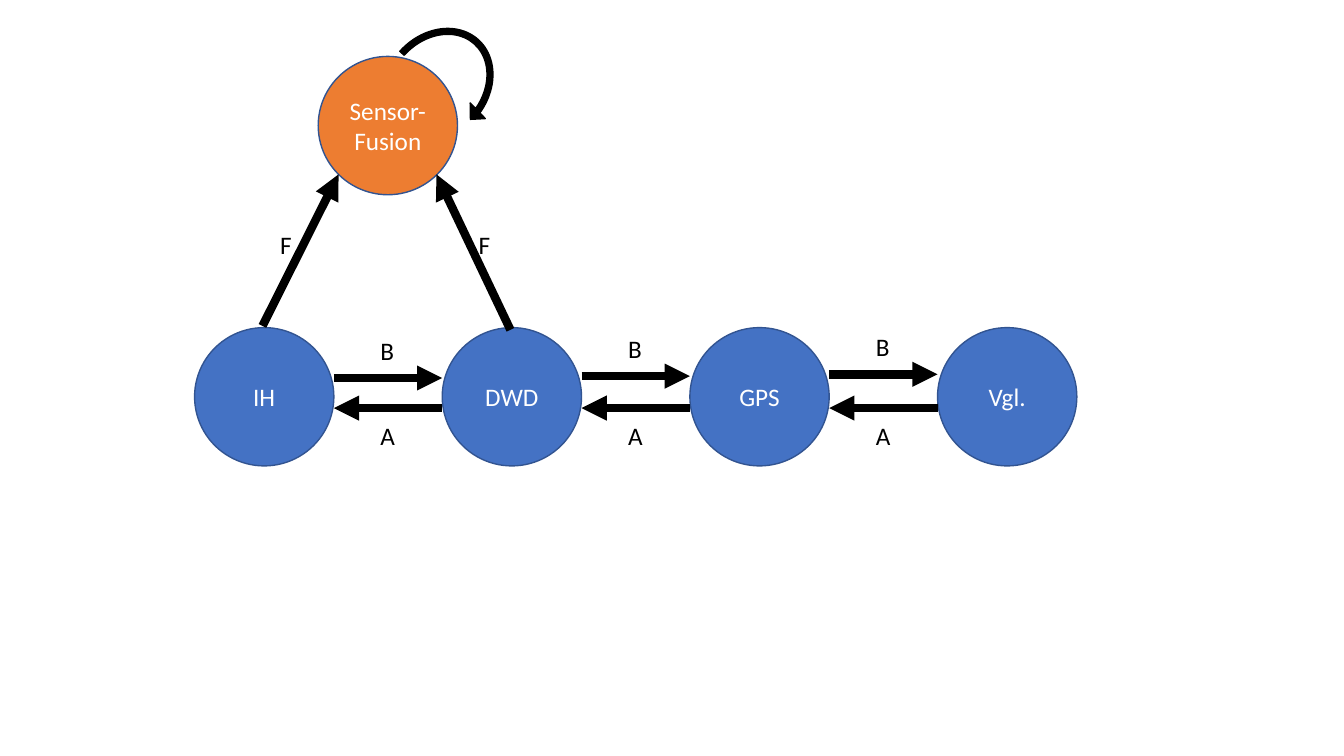
"""Draw a chain of sensor states that feed a fusion node."""
from pptx import Presentation
from pptx.dml.color import RGBColor
from pptx.enum.shapes import MSO_CONNECTOR as Link, MSO_SHAPE as Form
from pptx.enum.text import MSO_ANCHOR as Anchor, MSO_AUTO_SIZE as Fit, PP_ALIGN as Align
from pptx.oxml.ns import qn
from pptx.util import Pt
from lxml.etree import SubElement

COLORS = {"node": "4472C4", "fusion": "ED7D31", "edge": "325491",
          "ink": "000000", "light": "FFFFFF"}


class Board:
    def __init__(self, slide):
        self.slide = slide
        self.font = "Calibri"
        self.size = Pt(18)

    def color(self, name):
        return RGBColor.from_string(COLORS[name])

    def letter(self, frame, text, color, align):
        para = frame.paragraphs[0]
        para.text = text
        para.alignment = align
        para.font.name = self.font
        para.font.size = self.size
        para.font.color.rgb = self.color(color)

    def shape(self, form, x, y, wide, high, fill, edge):
        item = self.slide.shapes.add_shape(form, Pt(x), Pt(y), Pt(wide), Pt(high))
        item.shadow.inherit = False
        item.fill.solid()
        item.fill.fore_color.rgb = self.color(fill)
        item.line.color.rgb = self.color(edge)
        item.line.width = Pt(1)
        return item

    def node(self, text, x, y, fill):
        frame = self.shape(Form.OVAL, x, y, WIDE, HIGH, fill, "edge").text_frame
        frame.word_wrap = True
        frame.vertical_anchor = Anchor.MIDDLE
        self.letter(frame, text, "light", Align.CENTER)

    def arrow(self, x1, y1, x2, y2):
        item = self.slide.shapes.add_connector(
            Link.STRAIGHT, Pt(x1), Pt(y1), Pt(x2), Pt(y2))
        item.line.color.rgb = self.color("ink")
        item.line.width = Pt(6)
        props = item._element.spPr
        SubElement(props.find(qn("a:ln")), qn("a:tailEnd"), type="triangle")
        SubElement(props, qn("a:effectLst"))

    def label(self, text, x, y, wide):
        box = self.slide.shapes.add_textbox(Pt(x), Pt(y), Pt(wide), Pt(29))
        box.text_frame.word_wrap = False
        box.text_frame.auto_size = Fit.SHAPE_TO_FIT_TEXT
        self.letter(box.text_frame, text, "ink", Align.LEFT)

    def loop(self, x, y, wide, high, turn, adjust):
        item = self.shape(Form.CIRCULAR_ARROW, x, y, wide, high, "ink", "ink")
        item.rotation = turn
        for i, value in enumerate(adjust):
            item.adjustments[i] = value


WIDE, HIGH = 99.5, 98.8
LEFT, TOP, STEP = 139, 234, 176.9
STATES = ["IH", "DWD", "GPS", "Vgl."]

deck = Presentation()
deck.slide_width, deck.slide_height = Pt(960), Pt(540)
board = Board(deck.slides.add_slide(deck.slide_layouts[6]))

for i, state in enumerate(STATES):
    board.node(state, LEFT + i * STEP, TOP, "node")

for i in range(len(STATES) - 1):
    start = LEFT + WIDE + i * STEP
    end = LEFT + (i + 1) * STEP
    ahead = 270 - 1.3 * i
    board.arrow(start, ahead, end, ahead)
    board.arrow(end, 291.5, start, 291.5)
    board.label("B", start + 26.2, ahead - 34.2, 24.5)
    board.label("A", start + 26.2, 296.7, 25)

board.node("Sensor-Fusion", 227.3, 40.3, "fusion")
board.arrow(187.5, 232.8, 241.8, 124.6)
board.label("F", 193, 160.4, 23)
board.arrow(364.6, 235.6, 311.8, 124.6)
board.label("F", 334.8, 160.1, 23)
board.loop(270.7, 11.5, 83.5, 98.6, 41.9, [0.051, 8.13, 210.365, 108, 0.093])

deck.save("out.pptx")
